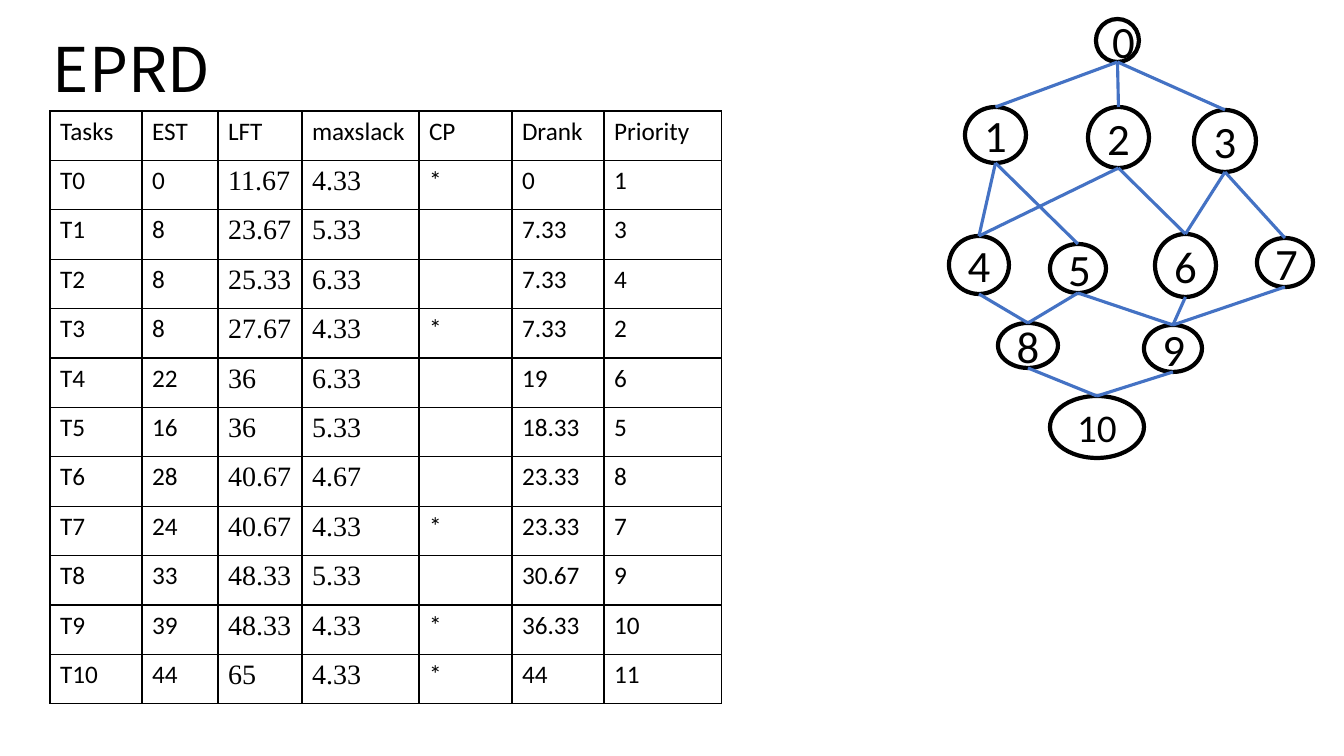
import pptx
import pptx.util
import pptx.dml.color
import pptx.enum.shapes
import pptx.enum.text
import pptx.oxml
import pptx.oxml.ns

TITLE = "EPRD"
HEADER = ("Tasks", "EST", "LFT", "maxslack", "CP", "Drank", "Priority")
TASKS = [
    ("T0", "0", "11.67", "4.33", "*", "0", "1"),
    ("T1", "8", "23.67", "5.33", "", "7.33", "3"),
    ("T2", "8", "25.33", "6.33", "", "7.33", "4"),
    ("T3", "8", "27.67", "4.33", "*", "7.33", "2"),
    ("T4", "22", "36", "6.33", "", "19", "6"),
    ("T5", "16", "36", "5.33", "", "18.33", "5"),
    ("T6", "28", "40.67", "4.67", "", "23.33", "8"),
    ("T7", "24", "40.67", "4.33", "*", "23.33", "7"),
    ("T8", "33", "48.33", "5.33", "", "30.67", "9"),
    ("T9", "39", "48.33", "4.33", "*", "36.33", "10"),
    ("T10", "44", "65", "4.33", "*", "44", "11"),
]
SERIF_COLUMNS = ("LFT", "maxslack")
COLUMN_WIDTHS = (92, 76, 84, 117, 93, 92, 118)
TABLE_LEFT, TABLE_TOP, TABLE_HEIGHT = 50, 111, 593

# Task graph: node -> left, top, width, height in px
NODES = {
    1: (965, 107, 61, 56),
    2: (1088, 107, 61, 61),
    3: (1194, 110, 62, 62),
    6: (1155, 234, 61, 63),
    7: (1257, 238, 56, 49),
    4: (949, 236, 60, 58),
    5: (1050, 244, 56, 49),
    8: (998, 323, 60, 45),
    9: (1144, 325, 58, 47),
    10: (1050, 396, 94, 62),
    0: (1096, 19, 43, 43),
}
EDGES = {0: (1, 2, 3), 1: (4, 5), 2: (4, 6), 3: (6, 7), 4: (8,),
         5: (8, 9), 6: (9,), 7: (9,), 8: (10,), 9: (10,)}

BLACK = pptx.dml.color.RGBColor(0x00, 0x00, 0x00)
BLUE = pptx.dml.color.RGBColor(0x44, 0x72, 0xC4)
Pt = pptx.util.Pt


def px(n):
    return pptx.util.Emu(round(n * 914400 / 100.8))


def add_run(p, text, size, font="Calibri"):
    r = p.add_run()
    r.text = text
    r.font.size = Pt(size)
    r.font.name = font
    r.font.color.rgb = BLACK


def add_borders(cell):
    tcPr = cell._tc.get_or_add_tcPr()
    for i, side in enumerate("LRTB"):
        tcPr.insert(i, pptx.oxml.parse_xml(
            f'<a:ln{side} {pptx.oxml.ns.nsdecls("a")} w="12700"><a:solidFill>'
            f'<a:srgbClr val="{BLACK}"/></a:solidFill></a:ln{side}>'))


def add_title(s):
    tf = s.shapes.add_textbox(px(43), 0, px(1159), px(146)).text_frame
    tf.word_wrap = True
    tf.vertical_anchor = pptx.enum.text.MSO_ANCHOR.MIDDLE
    p = tf.paragraphs[0]
    p.line_spacing = 0.9
    add_run(p, TITLE, 44, "Noto Sans CJK SC")


def add_task_table(s):
    rows = [HEADER] + TASKS
    table = s.shapes.add_table(
        len(rows), len(HEADER), px(TABLE_LEFT), px(TABLE_TOP),
        px(sum(COLUMN_WIDTHS)), px(TABLE_HEIGHT)).table
    table.first_row = table.horz_banding = False
    for column, width in zip(table.columns, COLUMN_WIDTHS):
        column.width = px(width)
    for i, row in enumerate(rows):
        table.rows[i].height = px(TABLE_HEIGHT / len(rows))
        for j, text in enumerate(row):
            cell = table.cell(i, j)
            cell.fill.background()
            add_borders(cell)
            p = cell.text_frame.paragraphs[0]
            if i and HEADER[j] in SERIF_COLUMNS:
                add_run(p, text, 20, "Times New Roman")
            elif text:
                add_run(p, text, 18)


def add_node(s, node):
    sp = s.shapes.add_shape(pptx.enum.shapes.MSO_SHAPE.OVAL,
                            *(px(n) for n in NODES[node]))
    sp.shadow.inherit = False
    sp.fill.background()
    sp.line.color.rgb = BLACK
    sp.line.width = Pt(3)
    tf = sp.text_frame
    tf.vertical_anchor = pptx.enum.text.MSO_ANCHOR.MIDDLE
    p = tf.paragraphs[0]
    p.alignment = pptx.enum.text.PP_ALIGN.CENTER
    add_run(p, str(node), 28 if node == 10 else 32)


def add_edge(s, parent, child):
    """Join the bottom of the parent to the top of the child."""
    x1, y1, w1, h1 = NODES[parent]
    x2, y2, w2, _ = NODES[child]
    line = s.shapes.add_connector(
        pptx.enum.shapes.MSO_CONNECTOR.STRAIGHT,
        px(x1 + w1 / 2), px(y1 + h1), px(x2 + w2 / 2), px(y2))
    line.line.color.rgb = BLUE
    line.line.width = Pt(2.25)
    line._element.spPr.append(pptx.oxml.parse_xml(
        f'<a:effectLst {pptx.oxml.ns.nsdecls("a")}/>'))


def main():
    prs = pptx.Presentation()
    prs.slide_width, prs.slide_height = px(1344), px(756)
    s = prs.slides.add_slide(prs.slide_layouts[6])
    add_title(s)
    add_task_table(s)
    for node in NODES:
        add_node(s, node)
    for parent, children in EDGES.items():
        for child in children:
            add_edge(s, parent, child)
    prs.save("out.pptx")


if __name__ == "__main__":
    main()
